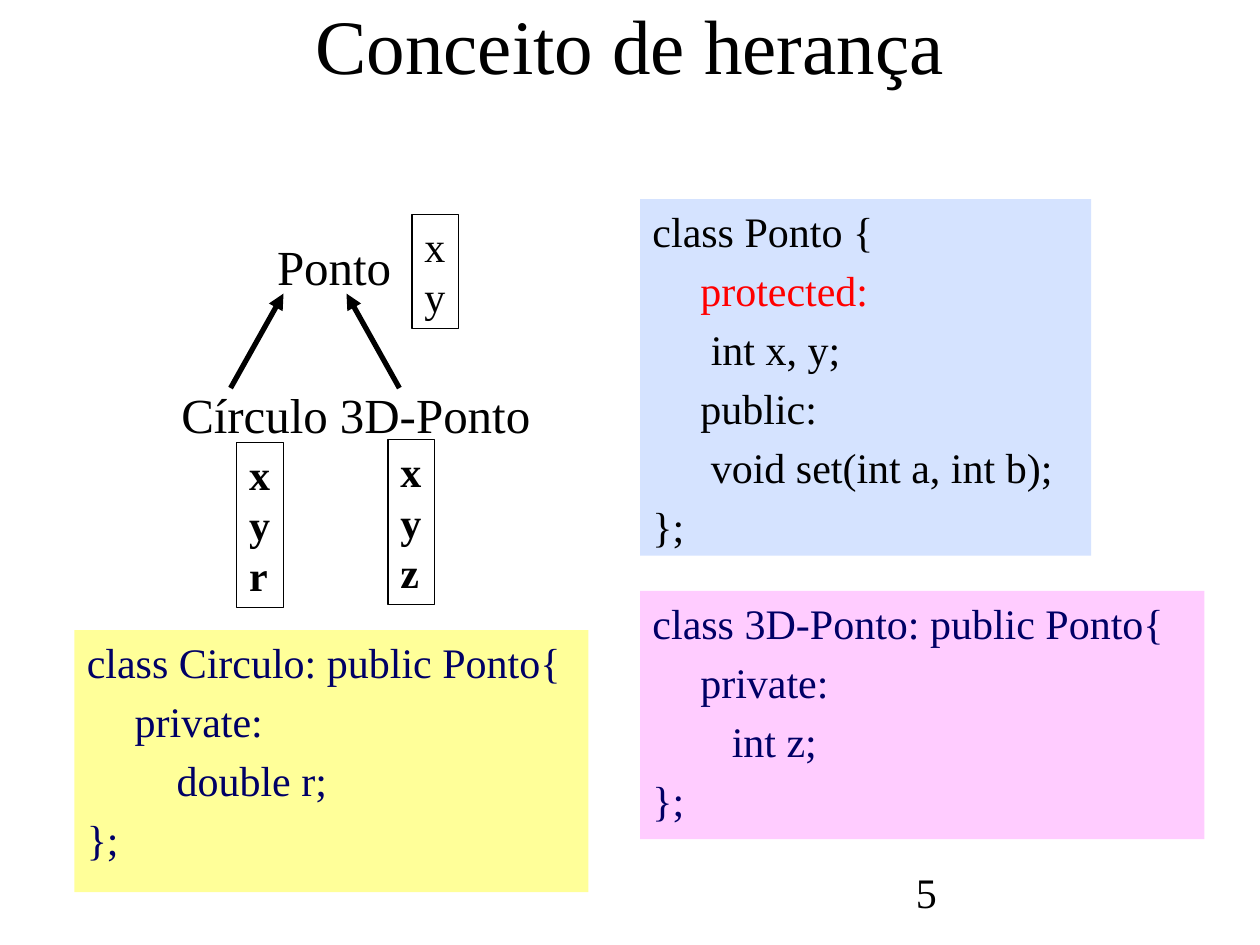
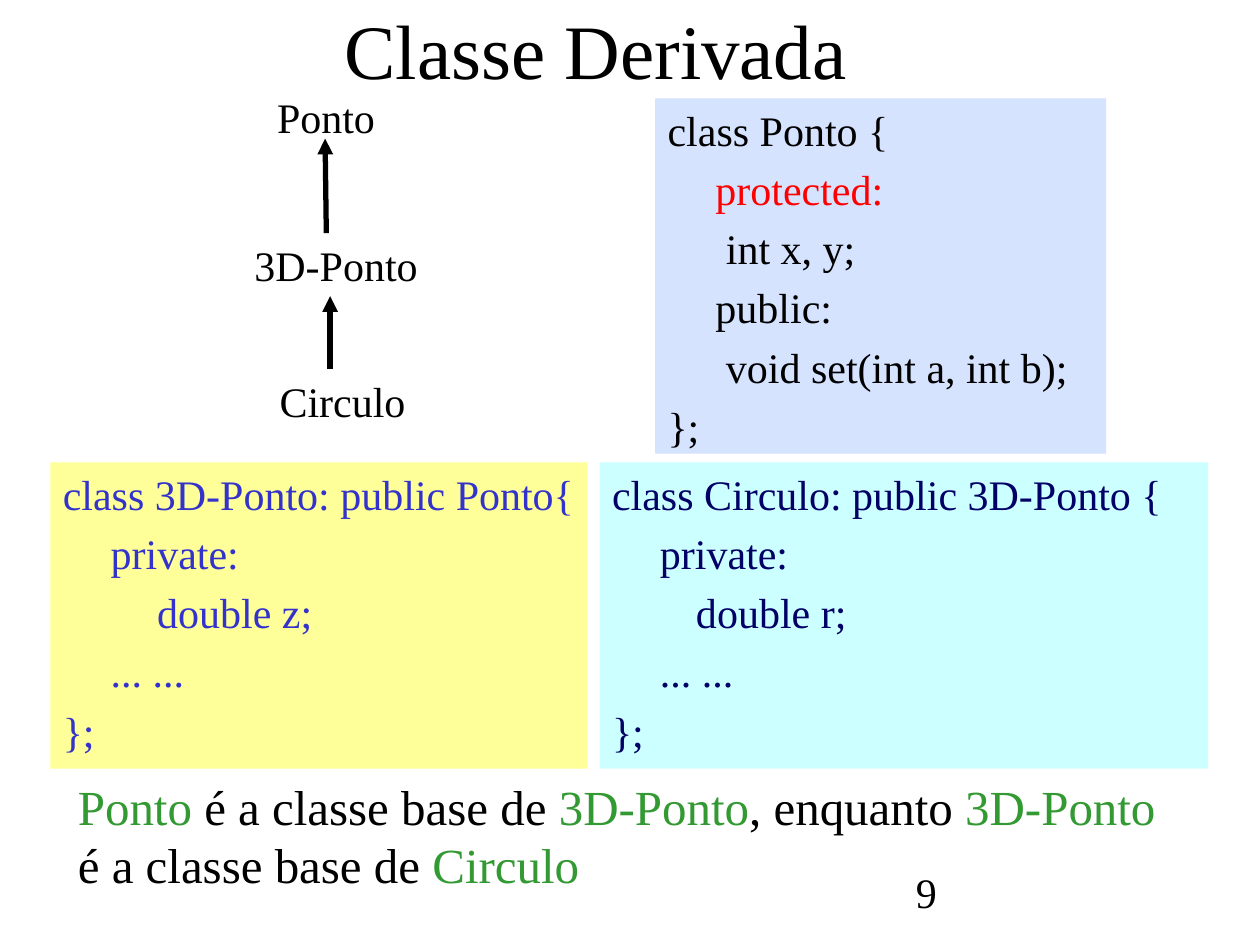
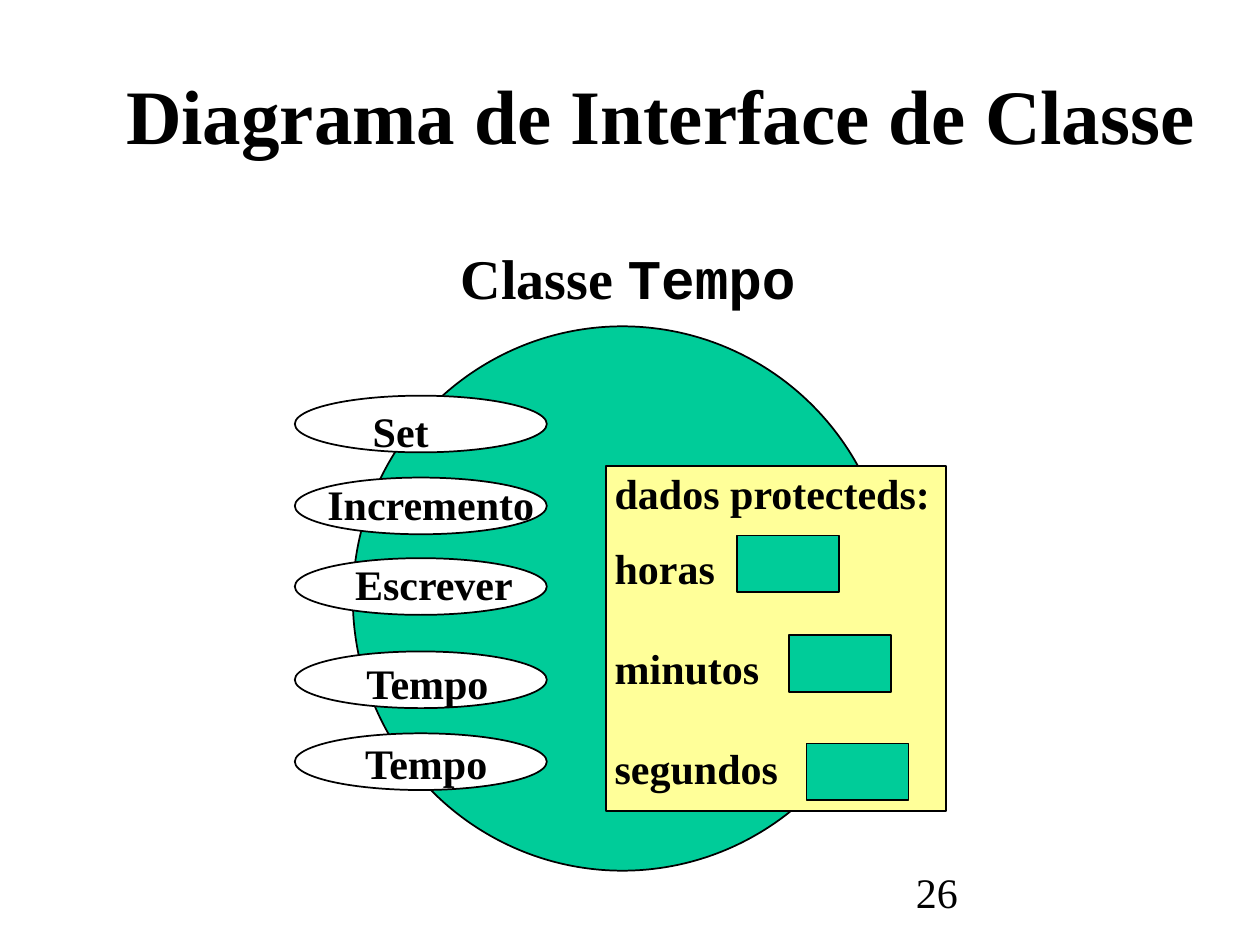
"""Build three slides on class inheritance."""
from lxml.etree import SubElement
from pptx import Presentation
from pptx.dml.color import RGBColor
from pptx.enum.shapes import MSO_CONNECTOR, MSO_SHAPE
from pptx.enum.text import MSO_ANCHOR, MSO_AUTO_SIZE, PP_ALIGN
from pptx.oxml.ns import qn
from pptx.util import Inches, Pt

HUES = {"black": "000000", "white": "FFFFFF", "red": "FF0000", "navy": "000066",
        "blue": "3333CC", "leaf": "339933", "teal": "00CC99", "sky": "D5E3FF",
        "cream": "FFFF99", "pink": "FFCCFF", "aqua": "CCFFFF"}
COLS, ROWS = 100, 75
BASE = {"name": "Times New Roman", "size": Pt(24), "bold": False, "ink": "black"}
CODE_TAB = Inches(0.38)

deck = Presentation()
deck.slide_width, deck.slide_height = Inches(10), Inches(7.5)
COL, ROW = deck.slide_width / COLS, deck.slide_height / ROWS


def put(slide, spot, rows=(), kind=None, fill=None, line=None, wrap=False, gap=0, shape=None, **form):
    """Place a box at a grid spot and write its rows of text."""
    place = [round(n * unit) for n, unit in zip(spot, (COL, ROW, COL, ROW))]
    if shape:
        shape.left, shape.top, shape.width, shape.height = place
    elif kind:
        shape = slide.shapes.add_shape(kind, *place)
        shape.shadow.inherit = False
    else:
        shape = slide.shapes.add_textbox(*place)
    if kind:
        for part, hue in ((shape.fill, fill), (shape.line.fill, line)):
            if hue:
                part.solid()
                part.fore_color.rgb = RGBColor.from_string(HUES[hue])
            else:
                part.background()
        if line:
            shape.line.width = Pt(1 if fill else 0.75)
    frame = shape.text_frame
    look = {"word_wrap": wrap, "auto_size": MSO_AUTO_SIZE.NONE, "vertical_anchor": MSO_ANCHOR.TOP}
    for key, value in look.items():
        setattr(frame, key, value)
    for i, row in enumerate(rows):
        para = frame.add_paragraph() if i else frame.paragraphs[0]
        para.alignment = PP_ALIGN.LEFT
        para.space_before = Pt(gap if i else 0)
        for text, extra in [(row, {})] if isinstance(row, str) else row:
            run = para.add_run()
            run.text = text
            for key, value in {**BASE, **form, **extra}.items():
                if key == "ink":
                    run.font.color.rgb = RGBColor.from_string(HUES[value])
                else:
                    setattr(run.font, key, value)
    return shape


def arrow(slide, *ends):
    """Draw an arrow from a child class to its parent."""
    place = [round(n * unit) for n, unit in zip(ends, (COL, ROW, COL, ROW))]
    link = slide.shapes.add_connector(MSO_CONNECTOR.STRAIGHT, *place)
    link.line.color.rgb = RGBColor.from_string(HUES["black"])
    link.line.width = Pt(3)
    SubElement(link.line._get_or_add_ln(), qn("a:tailEnd"), type="triangle")
    SubElement(link._element.spPr, qn("a:effectLst"))


pages = [
    ("Conceito de herança", "5", (7.5, -0.3, 85, 7.5), PP_ALIGN.CENTER, False),
    ("Classe Derivada", "9", (4.8, 0.1, 85, 7.5), PP_ALIGN.CENTER, False),
    ("Diagrama de Interface de Classe", "26", (9, 4.8, 87.7, 8.4), PP_ALIGN.LEFT, True),
]
slides = []
for name, num, spot, align, bold in pages:
    slide = deck.slides.add_slide(deck.slide_layouts[5])
    put(slide, (71.7, 68.3, 20.8, 5), [num], wrap=True)
    title = put(slide, spot, [name], shape=slide.shapes.title, wrap=not bold, size=Pt(44), bold=bold)
    title.text_frame.vertical_anchor = MSO_ANCHOR.MIDDLE
    title.text_frame.paragraphs[0].alignment = align
    slides.append(slide)
tree, chain, face = slides

names = [
    (tree, "Ponto", (21, 18.3, 11.2, 5.7), 28),
    (tree, "Círculo", (13.4, 30, 13.8, 5.7), 28),
    (tree, "3D-Ponto", (26, 30, 17.3, 5.7), 28),
    (chain, "Ponto", (21, 6.8, 9.8, 5), 24),
    (chain, "3D-Ponto", (19.2, 18.5, 15.1, 5.1), 24),
    (chain, "Circulo", (21.2, 29.3, 12.1, 5.1), 24),
]
for slide, name, spot, size in names:
    put(slide, spot, [name], size=Pt(size))

point = ["class Ponto {", [("protected:", {"ink": "red"})], " int x, y;", "public:",
         " void set(int a, int b);", "};"]
point_tabs = [0, 1, 1, 1, 1, 0]
codes = [
    (tree, (50.8, 15.8, 35.8, 28.3), "sky", "black", point, point_tabs),
    (tree, (5.9, 50, 40.8, 20.8), "cream", "navy",
     ["class Circulo: public Ponto{", "private:", "    double r;", "};"], [0, 1, 1, 0]),
    (tree, (50.8, 46.9, 44.8, 19.7), "pink", "navy",
     ["class 3D-Ponto: public Ponto{", "private:", "   int z;", "};"], [0, 1, 1, 0]),
    (chain, (52, 7.8, 35.8, 28.2), "sky", "black", point, point_tabs),
    (chain, (4, 36.7, 42.6, 24.3), "cream", "blue",
     ["class 3D-Ponto: public Ponto{", "private:", "         double z;", "... ...", "};"],
     [0, 1, 0, 1, 0]),
    (chain, (47.6, 36.7, 48.3, 24.3), "aqua", "navy",
     ["class Circulo: public 3D-Ponto {", "private:", "        double r;", "... ...", "};"],
     [0, 1, 0, 1, 0]),
]
for slide, spot, fill, ink, rows, tabs in codes:
    box = put(slide, spot, rows, MSO_SHAPE.RECTANGLE, fill, wrap=True, gap=5, ink=ink)
    for para, tab in zip(box.text_frame.paragraphs, tabs):
        para._p.get_or_add_pPr().set("marL", str(tab * CODE_TAB))

for spot, rows, bold in [((32.7, 17, 3.7, 9.1), "xy", False),
                         ((18.8, 35.1, 3.7, 13.1), "xyr", True),
                         ((30.8, 34.9, 3.7, 13.1), "xyz", True)]:
    put(tree, spot, rows, MSO_SHAPE.RECTANGLE, line="black", bold=bold)

for slide, *ends in [(tree, 18.3, 30.8, 22.5, 23.3), (tree, 31.7, 30.8, 27.5, 23.3),
                     (chain, 25.9, 18.5, 25.8, 11), (chain, 26.2, 29.3, 26.2, 23.5)]:
    arrow(slide, *ends)

leaf = {"ink": "leaf"}
put(chain, (5.2, 61.1, 89.7, 10.5),
    [[("Ponto", leaf), (" é a classe base de ", {}), ("3D-Ponto", leaf), (", enquanto ", {}),
      ("3D-Ponto", leaf), (" é a classe base de ", {}), ("Circulo", leaf)]],
    wrap=True, size=Pt(28))

put(face, (28, 25.9, 42.8, 43.2), kind=MSO_SHAPE.OVAL, fill="teal", line="black")
tasks = [
    (31.4, "Set", (28.6, 31.7, 6.5, 5.1)),
    (37.9, "Incremento", (25, 37.5, 18.6, 5.1)),
    (44.3, "Escrever", (27.2, 43.8, 14.7, 5.1)),
    (51.7, "Tempo", (28.1, 51.7, 11.8, 5.1)),
    (58.2, "Tempo", (28, 58, 11.8, 5.1)),
]
for top, name, spot in tasks:
    put(face, (23.4, top, 20, 4.5), kind=MSO_SHAPE.OVAL, fill="white", line="black")
    put(face, spot, [name], bold=True)

put(face, (48.1, 37, 27, 27.4), kind=MSO_SHAPE.RECTANGLE, fill="cream", line="black")
data = put(face, (47.8, 36.6, 27.3, 27.1), ["dados protecteds:", "horas", "minutos", "segundos"],
           gap=28.5, bold=True)
data.text_frame.paragraphs[1].space_before = Pt(14)
for left, top in [(58.5, 42.5), (62.6, 50.4), (64, 59)]:
    put(face, (left, top, 8.1, 4.5), kind=MSO_SHAPE.RECTANGLE, fill="teal", line="black")
put(face, (35.6, 18.8, 28.9, 6.4), [[("Classe ", {}), ("Tempo", {"name": "Courier New"})]],
    size=Pt(32), bold=True)

deck.save("out.pptx")
